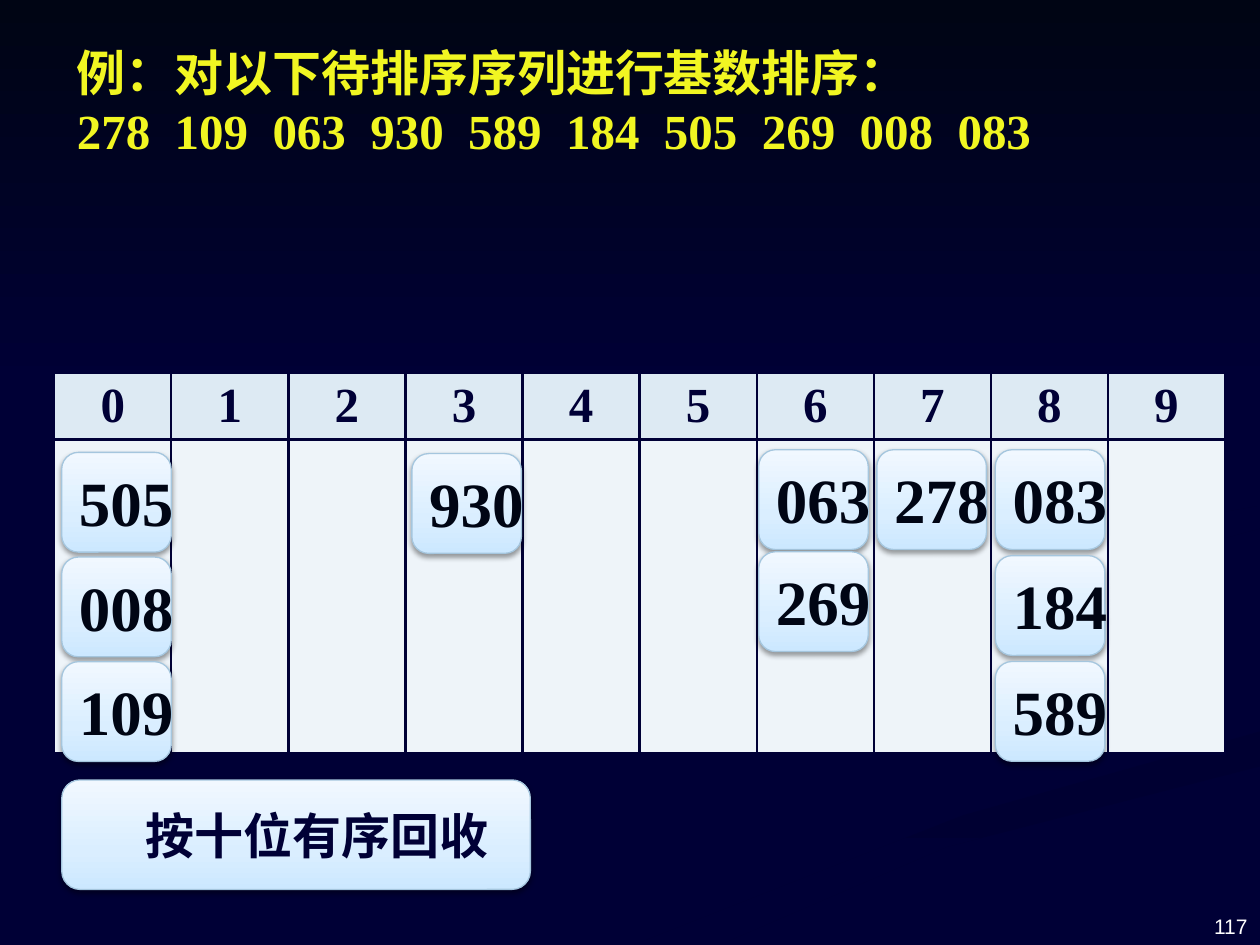
from dataclasses import dataclass
from lxml import etree
from pptx import Presentation
from pptx import util as u
from pptx.dml.color import RGBColor
from pptx.enum import shapes, text
from pptx.oxml.ns import qn

Pt = u.Pt


@dataclass(frozen=True)
class Theme:
    navy: str = "000036"
    shade: str = "000032"
    ink: str = "000514"
    yellow: str = "F1F622"
    white: str = "FFFFFF"
    header: str = "DDEAF3"
    body: str = "EEF4F9"
    edge: str = "A5C6DE"
    tile_stops: tuple = ((0, "CCE8FF"), (35, "DAEEFF"), (100, "F1F8FF"))
    serif: str = "Times New Roman"
    sans: str = "Arial"
    heading: int = 28
    number: int = 36
    footer: int = 12


@dataclass(frozen=True)
class Ribbon:
    start: str
    angle: int
    points: tuple


@dataclass(frozen=True)
class Bucket:
    left: float
    top: float
    step: float
    numbers: tuple


THEME = Theme()
WIDTH, HEIGHT = 720, 540
TILE_WIDTH, TILE_HEIGHT = 62.6, 57

RIBBONS = (
    Ribbon(THEME.shade, 270, (
        (362, HEIGHT), (411, HEIGHT), (541, 484), (WIDTH, 438), (WIDTH, 418), (550, 466))),
    Ribbon(THEME.shade, 315, (
        (562, 331), (595, 357), (580, 340), (WIDTH, 302), (WIDTH, 289), (583, 313))),
)

BUCKETS = (
    Bucket(35.3, 258.5, 59.8, ("505", "008", "109")),
    Bucket(235.4, 259.2, 0, ("930",)),
    Bucket(433.6, 257, 58.3, ("063", "269")),
    Bucket(501.1, 257, 0, ("278",)),
    Bucket(568.8, 257, 60.5, ("083", "184", "589")),
)


def rgb(color: str) -> RGBColor:
    return RGBColor.from_string(color)


def set_font(paragraph, size: float, color: str, name: str = THEME.serif, bold: bool = True) -> None:
    font = paragraph.font
    font.size, font.name, font.bold = Pt(size), name, bold
    font.color.rgb = rgb(color)


def add_color(parent, color: str):
    return etree.SubElement(parent, qn("a:srgbClr"), val=color)


def fill_gradient(shape, stops: tuple, angle: int) -> None:
    shape.fill.gradient()
    shape.fill.gradient_angle = angle
    stop_list = shape._element.spPr.find(".//" + qn("a:gsLst"))
    for old in list(stop_list):
        stop_list.remove(old)
    for position, color in stops:
        add_color(etree.SubElement(stop_list, qn("a:gs"), pos=str(position * 1000)), color)


def shade_backdrop(shape, start: str, angle: int) -> None:
    shape.shadow.inherit = False
    shape.line.fill.background()
    fill_gradient(shape, ((0, start), (100, THEME.navy)), angle)


def draw_backdrop(slide) -> None:
    for ribbon in RIBBONS:
        builder = slide.shapes.build_freeform(*ribbon.points[0], scale=Pt(1))
        builder.add_line_segments(ribbon.points[1:], close=True)
        shade_backdrop(builder.convert_to_shape(), ribbon.start, ribbon.angle)
    sky = slide.shapes.add_shape(shapes.MSO_SHAPE.RECTANGLE, 0, 0, Pt(WIDTH), Pt(222))
    shade_backdrop(sky, THEME.ink, 270)


def draw_card(slide, left: float, top: float, width: float, height: float, wording: str,
              size: int, color: str, anchor, indent: float = 7.2) -> None:
    card = slide.shapes.add_shape(shapes.MSO_SHAPE.ROUNDED_RECTANGLE,
                                  Pt(left), Pt(top), Pt(width), Pt(height))
    fill_gradient(card, THEME.tile_stops, 90)
    card.line.color.rgb = rgb(THEME.edge)
    card.line.width = Pt(0.75)
    card.shadow.inherit = False
    effects = card._element.spPr.find(qn("a:effectLst"))
    shadow = etree.SubElement(effects, qn("a:outerShdw"), blurRad=str(Pt(3.1)),
                              dist=str(Pt(1.6)), dir="5400000", rotWithShape="0")
    etree.SubElement(add_color(shadow, "000000"), qn("a:alpha"), val="38000")
    frame = card.text_frame
    frame.word_wrap = False
    frame.vertical_anchor = anchor
    frame.margin_left = Pt(indent)
    frame.text = wording
    frame.paragraphs[0].alignment = text.PP_ALIGN.LEFT
    set_font(frame.paragraphs[0], size, color)


def border_cell(cell) -> None:
    properties = cell._tc.get_or_add_tcPr()
    for index, side in enumerate(("lnL", "lnR", "lnT", "lnB")):
        line = etree.Element(qn(f"a:{side}"), w=str(Pt(1.5)))
        add_color(etree.SubElement(line, qn("a:solidFill")), THEME.navy)
        properties.insert(index, line)


def draw_digit_table(slide) -> None:
    table = slide.shapes.add_table(2, 10, Pt(31), Pt(213), Pt(669), Pt(217.3)).table
    table.rows[0].height, table.rows[1].height = Pt(38), Pt(179.3)
    for digit in range(10):
        table.columns[digit].width = Pt(66.9)
        for row, color in enumerate((THEME.header, THEME.body)):
            cell = table.cell(row, digit)
            cell.fill.solid()
            cell.fill.fore_color.rgb = rgb(color)
            border_cell(cell)
        heading = table.cell(0, digit)
        heading.text = str(digit)
        heading.vertical_anchor = text.MSO_ANCHOR.MIDDLE
        heading.text_frame.paragraphs[0].alignment = text.PP_ALIGN.CENTER
        set_font(heading.text_frame.paragraphs[0], THEME.heading, THEME.navy)


def write_title(slide) -> None:
    title = slide.shapes.title
    slide.shapes._spTree.append(title._element)
    title.left, title.top, title.width, title.height = Pt(36.7), Pt(9.4), Pt(686.2), Pt(96.5)
    frame = title.text_frame
    frame.text = "例：对以下待排序序列进行基数排序：\v278  109  063  930  589  184  505  269  008  083"
    frame.auto_size = text.MSO_AUTO_SIZE.NONE
    frame.vertical_anchor = text.MSO_ANCHOR.MIDDLE
    frame.paragraphs[0].alignment = text.PP_ALIGN.LEFT
    set_font(frame.paragraphs[0], THEME.heading, THEME.yellow)


def write_page_number(slide) -> None:
    frame = slide.shapes.add_textbox(Pt(552.2), Pt(502.6), Pt(167.8), Pt(37.4)).text_frame
    frame.word_wrap = True
    frame.vertical_anchor = text.MSO_ANCHOR.BOTTOM
    frame.text = "117"
    frame.paragraphs[0].alignment = text.PP_ALIGN.RIGHT
    set_font(frame.paragraphs[0], THEME.footer, THEME.white, THEME.sans, False)


def main() -> None:
    deck = Presentation()
    deck.slide_width, deck.slide_height = Pt(WIDTH), Pt(HEIGHT)
    slide = deck.slides.add_slide(deck.slide_layouts[5])
    slide.background.fill.solid()
    slide.background.fill.fore_color.rgb = rgb(THEME.navy)
    draw_backdrop(slide)
    draw_digit_table(slide)
    write_page_number(slide)
    write_title(slide)
    for bucket in BUCKETS:
        for place, number in enumerate(bucket.numbers):
            draw_card(slide, bucket.left, bucket.top + place * bucket.step, TILE_WIDTH, TILE_HEIGHT,
                      number, THEME.number, THEME.ink, text.MSO_ANCHOR.TOP)
    draw_card(slide, 35.3, 445.7, 267.8, 62.6, "按十位有序回收",
              THEME.heading, THEME.navy, text.MSO_ANCHOR.MIDDLE, indent=45)
    deck.save("out.pptx")


if __name__ == "__main__":
    main()
